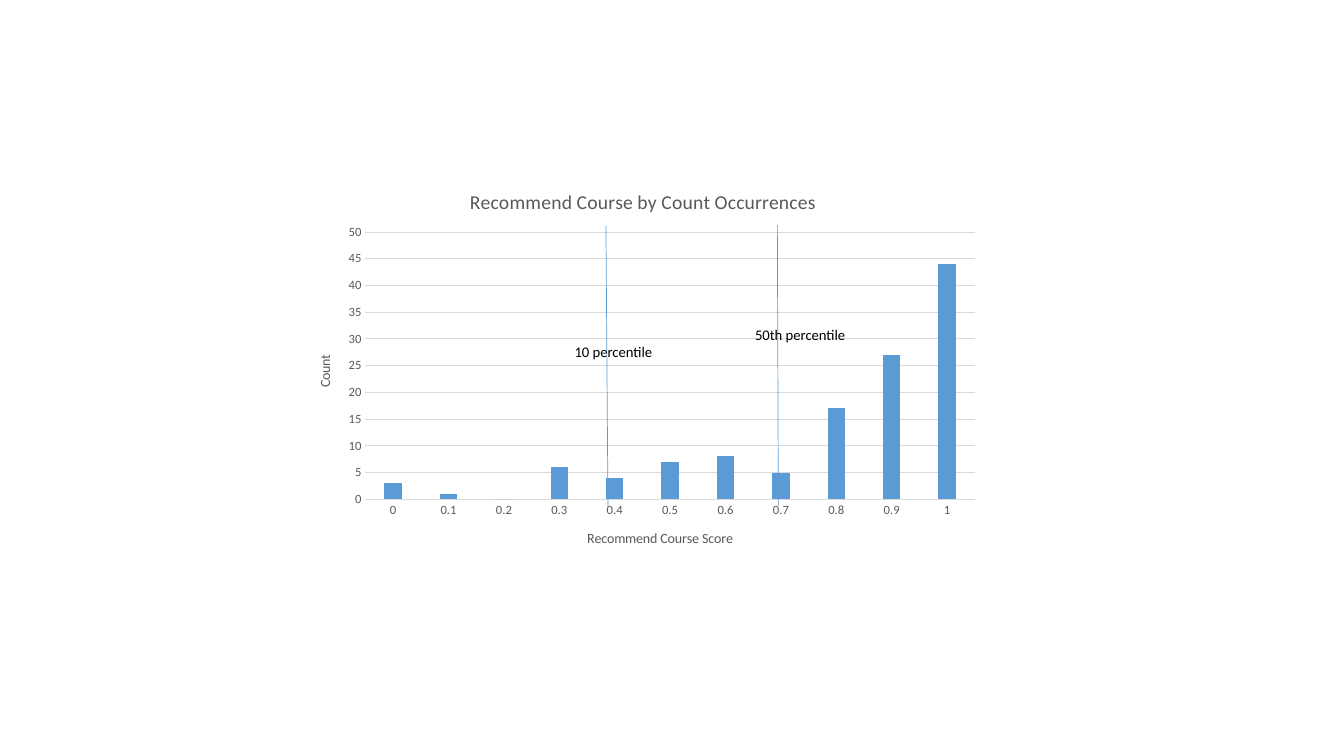
from dataclasses import dataclass

from lxml import etree
from pptx import Presentation
from pptx.chart.data import CategoryChartData as Data
from pptx.dml.color import RGBColor as RGB
from pptx.enum.chart import XL_CHART_TYPE as Kind, XL_TICK_MARK as Tick
from pptx.enum.shapes import MSO_CONNECTOR as Link
from pptx.enum.text import MSO_AUTO_SIZE as Fit
from pptx.oxml.ns import qn
from pptx.util import Inches, Pt


@dataclass(frozen=True)
class Theme:
    font: str = "Calibri"
    blue: str = "5B9BD5"
    gray: str = "595959"
    grid: str = "D9D9D9"
    black: str = "000000"
    head: float = 14
    name: float = 10
    tick: float = 9
    note: float = 10.5


THEME = Theme()
COUNTS = [3, 1, 0, 6, 4, 7, 8, 5, 17, 27, 44]
SCORES = [f"{i / 10:g}" for i in range(len(COUNTS))]


def style(font, size, color):
    font.name = THEME.font
    font.size = Pt(size)
    font.bold = False
    font.color.rgb = RGB.from_string(color)


def stroke(line, color, width):
    line.color.rgb = RGB.from_string(color)
    line.width = Pt(width)


def write(frame, text, size=THEME.note, color=THEME.black):
    run = frame.paragraphs[0].add_run()
    run.text = text
    style(run.font, size, color)


def place(node, index, **spots):
    """Give a chart part a manual layout, in fractions of the chart."""
    for old in node.findall(qn("c:layout")):
        node.remove(old)
    layout = etree.Element(qn("c:layout"))
    manual = etree.SubElement(layout, qn("c:manualLayout"))
    modes = {"xMode": "edge", "yMode": "edge"}
    if "w" in spots:
        modes = {"layoutTarget": "inner", **modes}
    for tag, value in {**modes, **spots}.items():
        etree.SubElement(manual, qn(f"c:{tag}")).set("val", str(value))
    node.insert(index, layout)


def label(owner, text, size, x, y, turn=None):
    """Title a chart or an axis."""
    owner.has_title = True
    title = getattr(owner, "chart_title", None) or owner.axis_title
    frame = title.text_frame
    write(frame, text, size=size, color=THEME.gray)
    if turn is not None:
        body = frame._txBody.find(qn("a:bodyPr"))
        body.set("rot", str(turn * 60000))
        body.set("vert", "horz")
    place(title._element, 1, x=x, y=y)


def set_axes(chart):
    score, count = chart.category_axis, chart.value_axis
    for axis in (score, count):
        axis.major_tick_mark = axis.minor_tick_mark = Tick.NONE
        style(axis.tick_labels.font, THEME.tick, THEME.gray)
    stroke(score.format.line, THEME.grid, 0.75)
    count.format.line.fill.background()
    count.has_major_gridlines = True
    stroke(count.major_gridlines.format.line, THEME.grid, 0.75)
    count.minimum_scale, count.maximum_scale, count.major_unit = 0, 50, 5
    label(score, "Recommend Course Score", THEME.name, 0.42, 0.9)
    label(count, "Count", THEME.name, 0.03, 0.46, turn=-90)


def add_bars(slide):
    data = Data()
    data.categories = SCORES
    data.add_series("Series 1", COUNTS)
    box = [Inches(n) for n in (2.9, 1.68, 6.9, 3.94)]
    chart = slide.shapes.add_chart(Kind.COLUMN_CLUSTERED, *box, data).chart
    style(chart.font, THEME.name, THEME.black)
    chart.has_legend = False
    label(chart, "Recommend Course by Count Occurrences", THEME.head, 0.25, 0.04)
    set_axes(chart)
    plot = chart.plots[0]
    plot.gap_width, plot.overlap = 219, -27
    plot.vary_by_categories = False
    bars = plot.series[0]
    bars.invert_if_negative = False
    bars.format.fill.solid()
    bars.format.fill.fore_color.rgb = RGB.from_string(THEME.blue)
    area = chart._chartSpace.chart.plotArea
    place(area, 0, x=0.105, y=0.158, w=0.876, h=0.673)


def add_rule(slide, *ends):
    rule = slide.shapes.add_connector(Link.STRAIGHT, *(Inches(n) for n in ends))
    stroke(rule.line, THEME.blue, 0.5)
    etree.SubElement(rule._element.spPr, qn("a:effectLst"))


def add_note(slide, text, *box):
    frame = slide.shapes.add_textbox(*(Inches(n) for n in box)).text_frame
    frame.word_wrap = False
    frame.auto_size = Fit.SHAPE_TO_FIT_TEXT
    write(frame, text)


def main():
    deck = Presentation()
    deck.slide_width, deck.slide_height = Inches(13.33), Inches(7.5)
    slide = deck.slides.add_slide(deck.slide_layouts[6])
    add_bars(slide)
    add_rule(slide, 6.01, 2.24, 6.03, 5.03)
    add_rule(slide, 7.71, 2.23, 7.72, 5.02)
    add_note(slide, "10 percentile", 5.6, 3.35, 0.99, 0.28)
    add_note(slide, "50th percentile", 7.39, 3.18, 1.12, 0.28)
    deck.save("out.pptx")


if __name__ == "__main__":
    main()
